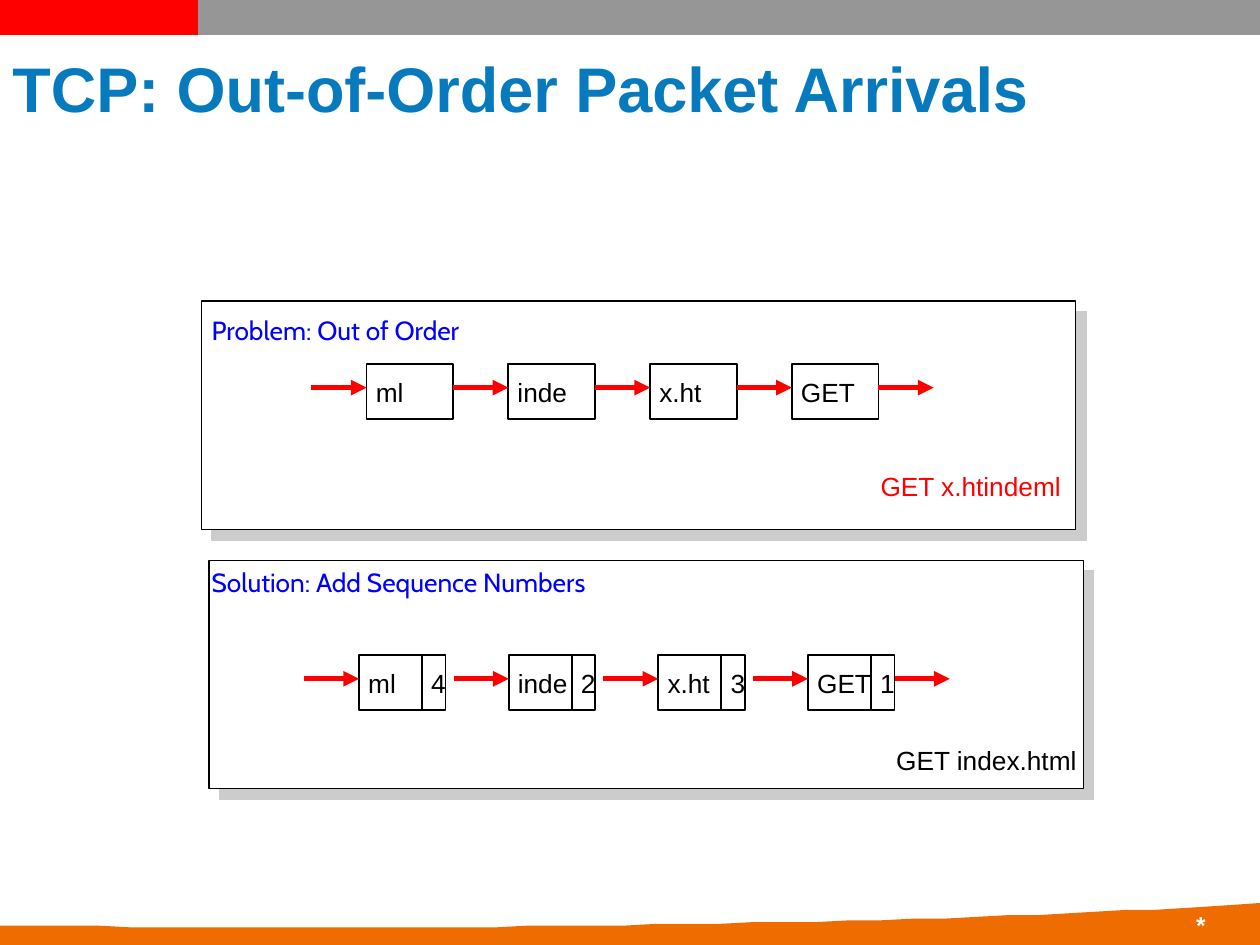
from lxml.etree import SubElement
from pptx import Presentation
from pptx.dml.color import RGBColor
from pptx.enum.shapes import MSO_CONNECTOR, MSO_SHAPE
from pptx.enum.text import MSO_ANCHOR, PP_ALIGN
from pptx.oxml.ns import qn
from pptx.util import Pt

COLORS = {
    "white": "FFFFFF", "black": "000000", "red": "FF0000", "blue": "0000FF",
    "title": "067ABD", "gray": "969696", "orange": "EE6C00", "shadow": "CCCCCC",
}
SLIDE_W, SLIDE_H = 720, 540

TITLE = "TCP: Out-of-Order Packet Arrivals"
# Panels from back to front; a packet is its cells: data and, if any, number
PANELS = [
    dict(heading="Solution: Add Sequence Numbers", box=(119.5, 320.25),
         heading_at=(115.2, 320.4), packets=[("ml", "4"), ("inde", "2"), ("x.ht", "3"), ("GET", "1")],
         first=(205.2, 374.4), pitch=85.5,
         result="GET index.html", result_at=(506.9, 422.6), result_color="black"),
    dict(heading="Problem: Out of Order", box=(115.2, 172.1),
         heading_at=(115.2, 176.4), packets=[("ml",), ("inde",), ("x.ht",), ("GET",)],
         first=(209.5, 208), pitch=81,
         result="GET x.htindeml", result_at=(497.9, 265.7), result_color="red"),
]
PANEL_W, PANEL_H = 499.5, 130.5
PACKET_W, PACKET_H, NUMBER_W = 49.5, 31.5, 13.5
ARROW_LEN, ARROW_DY = 31.5, 13.5
BAR_Y, BAR_W, RED_BAR_END = 9.75, 20, 113.25
# Top edge of the footer wave: start, then control, control, end of each curve
WAVE_START = (0, 529)
WAVE_CURVES = [((127, 530), (253, 530.5), (374, 528.5)),
               ((494, 526.5), (626, 522.5), (720, 516))]
CURVE_STEPS = 20

prs = Presentation()
prs.slide_width, prs.slide_height = Pt(SLIDE_W), Pt(SLIDE_H)
s = prs.slides.add_slide(prs.slide_layouts[6])


def rgb(name):
    return RGBColor.from_string(COLORS[name])


def write(sp, text, size, color, font="Arial", bold=False, align=PP_ALIGN.LEFT,
          anchor=MSO_ANCHOR.MIDDLE, inset=(5.25, 2.75), wrap=False):
    tf = sp.text_frame
    tf.word_wrap = wrap
    tf.vertical_anchor = anchor
    tf.margin_left = tf.margin_right = Pt(inset[0])
    tf.margin_top = tf.margin_bottom = Pt(inset[1])
    p = tf.paragraphs[0]
    p.text = text
    p.alignment = align
    p.font.name, p.font.size, p.font.bold = font, Pt(size), bold
    p.font.color.rgb = rgb(color)


def add_text(x, y, w, h, *args, **style):
    write(s.shapes.add_textbox(Pt(x), Pt(y), Pt(w), Pt(h)), *args, **style)


def add_box(x, y, w, h, line_width):
    sp = s.shapes.add_shape(MSO_SHAPE.RECTANGLE, Pt(x), Pt(y), Pt(w), Pt(h))
    sp.shadow.inherit = False
    sp.fill.solid()
    sp.fill.fore_color.rgb = rgb("white")
    sp.line.color.rgb = rgb("black")
    sp.line.width = Pt(line_width)
    return sp


def add_shadow(sp):
    effects = sp._element.spPr.find(qn("a:effectLst"))
    shadow = SubElement(effects, qn("a:outerShdw"), dist=str(Pt(8.5)),
                        dir=str(45 * 60000), algn="ctr", rotWithShape="0")
    SubElement(shadow, qn("a:srgbClr"), val=COLORS["shadow"])


def add_line(x1, x2, y, color, width, arrow=False):
    c = s.shapes.add_connector(MSO_CONNECTOR.STRAIGHT, Pt(x1), Pt(y), Pt(x2), Pt(y))
    c.line.color.rgb = rgb(color)
    c.line.width = Pt(width)
    if arrow:
        SubElement(c.line._get_or_add_ln(), qn("a:tailEnd"), type="triangle")
    SubElement(c._element.spPr, qn("a:effectLst"))


def curve_points(p0, p1, p2, p3):
    """Points along a cubic Bezier curve, without its start."""
    for i in range(1, CURVE_STEPS + 1):
        t = i / CURVE_STEPS
        u = 1 - t
        yield tuple(u**3 * a + 3 * u * u * t * b + 3 * u * t * t * c + t**3 * d
                    for a, b, c, d in zip(p0, p1, p2, p3))


def add_footer_wave():
    points, start = [], WAVE_START
    for curve in WAVE_CURVES:
        points += curve_points(start, *curve)
        start = curve[-1]
    points += [(SLIDE_W, SLIDE_H), (0, SLIDE_H)]
    builder = s.shapes.build_freeform(*WAVE_START, scale=Pt(1))
    builder.add_line_segments(points, close=True)
    sp = builder.convert_to_shape()
    sp.shadow.inherit = False
    sp.fill.solid()
    sp.fill.fore_color.rgb = rgb("orange")
    sp.line.fill.background()


def add_packet(x, y, cells):
    widths = [PACKET_W - NUMBER_W, NUMBER_W] if len(cells) == 2 else [PACKET_W]
    for text, w in zip(cells, widths):
        write(add_box(x, y, w, PACKET_H, 1), text, 15, "black")
        x += w


def add_panel(panel):
    add_shadow(add_box(*panel["box"], PANEL_W, PANEL_H, 0.75))
    add_text(*panel["heading_at"], 292.5, 40.5, panel["heading"], 15, "blue", font="Cabin",
             anchor=MSO_ANCHOR.TOP, inset=(5.75, 2.9), wrap=True)
    x0, y = panel["first"]
    xs = [x0 + i * panel["pitch"] for i in range(len(panel["packets"]))]
    for x, cells in zip(xs, panel["packets"]):
        add_packet(x, y, cells)
    for start in [x - ARROW_LEN for x in xs] + [xs[-1] + PACKET_W]:
        add_line(start, start + ARROW_LEN, y + ARROW_DY, "red", 3, arrow=True)
    add_text(*panel["result_at"], 113.75, 23.75, panel["result"], 15, panel["result_color"])


add_line(0, SLIDE_W, BAR_Y, "gray", BAR_W)
add_line(0, RED_BAR_END, BAR_Y, "red", BAR_W)
add_footer_wave()
add_text(648, 516.25, 48, 24, "*", 14, "white", bold=True, align=PP_ALIGN.RIGHT,
         anchor=MSO_ANCHOR.TOP, inset=(7.2, 3.6), wrap=True)
add_text(0, 23, 702, 53.25, TITLE, 36, "title", bold=True, inset=(7.2, 3.6), wrap=True)
for panel in PANELS:
    add_panel(panel)

prs.save("out.pptx")
